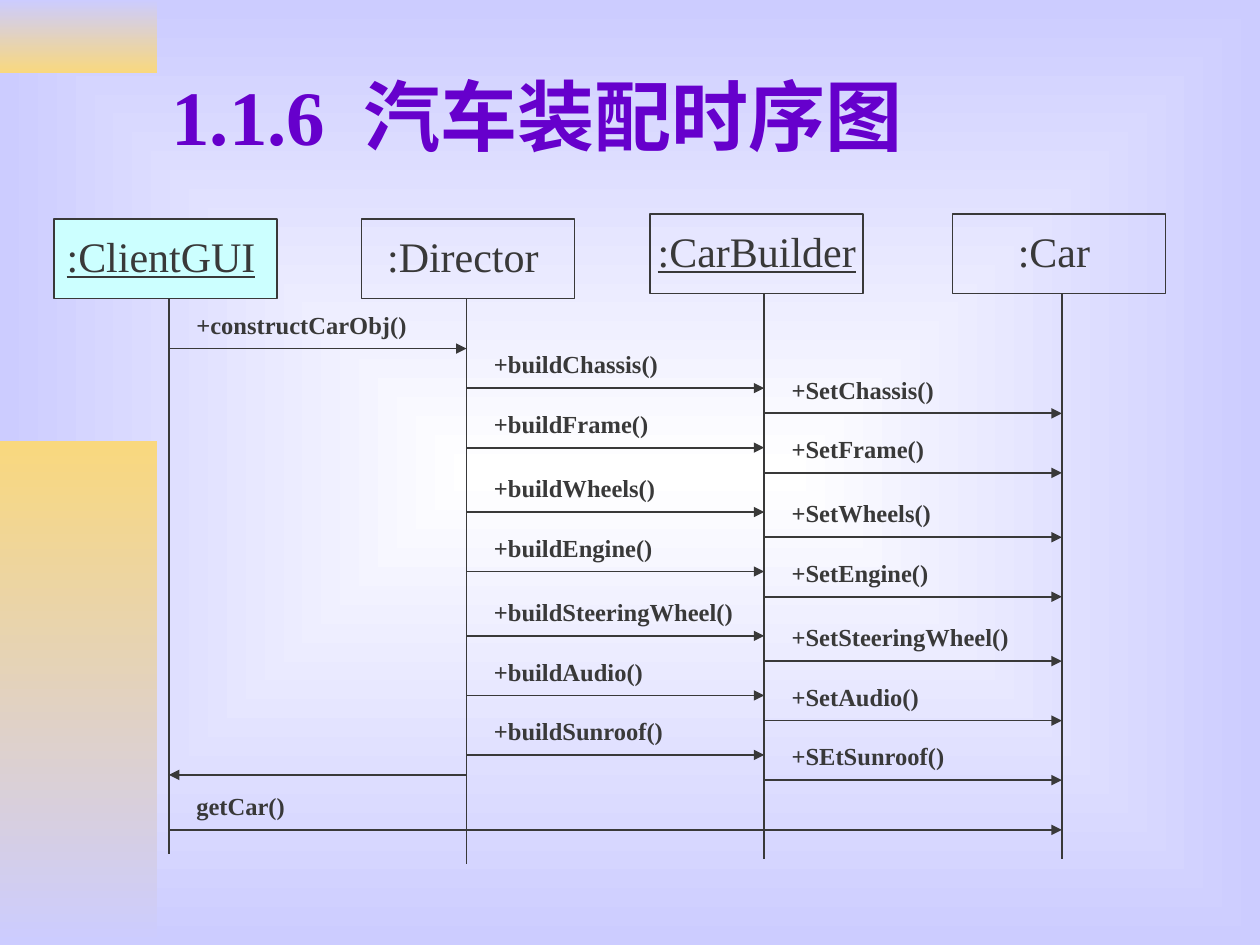
from dataclasses import dataclass
from itertools import accumulate

from lxml.etree import SubElement
from pptx import Presentation
from pptx.dml.color import RGBColor
from pptx.dml.fill import FillFormat
from pptx.enum.shapes import MSO_CONNECTOR, MSO_SHAPE
from pptx.enum.text import MSO_ANCHOR, PP_ALIGN
from pptx.oxml.ns import qn
from pptx.slide import Slide
from pptx.text.text import TextFrame
from pptx.util import Pt

INK = RGBColor(0x39, 0x39, 0x39)
PURPLE = RGBColor(0x66, 0x00, 0xCC)
LILAC = RGBColor(0xCC, 0xCC, 0xFF)
GOLD = RGBColor(0xF9, 0xD8, 0x7E)
CYAN = RGBColor(0xCC, 0xFF, 0xFF)
WHITE = RGBColor(0xFF, 0xFF, 0xFF)
FACE = "Times New Roman"

LIVES = [96.5 + 170.1 * i for i in range(4)]
CLIENT, DIRECTOR, BUILDER, CAR = range(4)
HEAD_H = 45.4
ROWS = list(accumulate((221.8, 34, 36.8, 34, 36.8, 34, 34)))
LAG = 14.4
PARTS = ("Chassis", "Frame", "Wheels", "Engine", "SteeringWheel", "Audio", "Sunroof")


@dataclass
class Head:
    name: str
    left: float
    top: float
    width: float
    end: float
    pad: tuple[float, float]
    align: PP_ALIGN = PP_ALIGN.LEFT
    under: bool = False
    fill: RGBColor | None = None


@dataclass
class Call:
    text: str
    start: int
    stop: int
    y: float


HEADS = [
    Head(":ClientGUI", 31, 125.3, 127.4, 488.2, (7.2, 0), under=True, fill=CYAN),
    Head(":Director", 206.6, 125.3, 121.7, 494, (0, 5.8), PP_ALIGN.CENTER),
    Head(":CarBuilder", 371.5, 122.4, 121.7, 491, (4.3, 0), under=True),
    Head(":Car", 544.3, 122.4, 121.7, 491, (0, 5.8), PP_ALIGN.CENTER),
]


def set_name(part: str) -> str:
    return f"+SEt{part}()" if part == "Sunroof" else f"+Set{part}()"


CALLS = [
    Call("+constructCarObj()", CLIENT, DIRECTOR, 199.2),
    *(Call(f"+build{p}()", DIRECTOR, BUILDER, y) for p, y in zip(PARTS, ROWS)),
    *(Call(set_name(p), BUILDER, CAR, y + LAG) for p, y in zip(PARTS, ROWS)),
    Call("", DIRECTOR, CLIENT, 442.8),
    Call("getCar()", CLIENT, CAR, 474.2),
]


def write(frame: TextFrame, text: str, *, size: float, color: RGBColor = INK,
          bold: bool = False, under: bool = False,
          align: PP_ALIGN = PP_ALIGN.LEFT, gap: float = 0) -> None:
    """Append a run to the first paragraph; gap is extra letter spacing."""
    para = frame.paragraphs[0]
    para.alignment = align
    run = para.add_run()
    run.text = text
    font = run.font
    font.name, font.size, font.bold, font.underline = FACE, Pt(size), bold, under
    font.color.rgb = color
    if gap:
        run._r.get_or_add_rPr().set("spc", str(int(gap * 100)))


def blend(fill: FillFormat, first: RGBColor, last: RGBColor) -> None:
    fill.gradient()
    for stop, color, pos in zip(fill.gradient_stops, (first, last), (0, 1)):
        stop.color.rgb = color
        stop.position = pos


def glow(slide: Slide) -> None:
    """Fill the background from a white centre out to lilac edges."""
    blend(slide.background.fill, WHITE, LILAC)
    grad = slide._element.find(".//" + qn("a:gradFill"))
    grad.remove(grad.find(qn("a:lin")))
    ring = SubElement(grad, qn("a:path"), {"path": "rect"})
    SubElement(ring, qn("a:fillToRect"), dict.fromkeys("ltrb", "50000"))


def band(slide: Slide, top: float, height: float, first: RGBColor, last: RGBColor) -> None:
    shape = slide.shapes.add_shape(MSO_SHAPE.RECTANGLE, 0, Pt(top), Pt(90), Pt(height))
    shape.shadow.inherit = False
    blend(shape.fill, first, last)
    shape.fill.gradient_angle = 270
    shape.line.fill.background()


def rule(slide: Slide, x1: float, y1: float, x2: float, y2: float,
         arrow: bool = False) -> None:
    line = slide.shapes.add_connector(
        MSO_CONNECTOR.STRAIGHT, Pt(x1), Pt(y1), Pt(x2), Pt(y2))
    line.line.color.rgb = INK
    line.line.width = Pt(1)
    if arrow:
        SubElement(line.line._get_or_add_ln(), qn("a:tailEnd"), {"type": "triangle"})
    SubElement(line._element.spPr, qn("a:effectLst"))


def draw_head(slide: Slide, head: Head, x: float) -> None:
    box = slide.shapes.add_shape(
        MSO_SHAPE.RECTANGLE, Pt(head.left), Pt(head.top), Pt(head.width), Pt(HEAD_H))
    box.shadow.inherit = False
    if head.fill is None:
        box.fill.background()
    else:
        box.fill.solid()
        box.fill.fore_color.rgb = head.fill
    box.line.color.rgb = INK
    box.line.width = Pt(1)
    frame = box.text_frame
    frame.word_wrap = True
    frame.vertical_anchor = MSO_ANCHOR.TOP
    frame.margin_left, frame.margin_right = map(Pt, head.pad)
    frame.margin_top, frame.margin_bottom = Pt(6.5), 0
    write(frame, head.name, size=24, under=head.under, align=head.align)
    rule(slide, x, head.top + HEAD_H, x, head.end)


def draw_call(slide: Slide, call: Call) -> None:
    x = LIVES[call.start]
    rule(slide, x, call.y, LIVES[call.stop], call.y, arrow=True)
    if call.text:
        box = slide.shapes.add_textbox(Pt(x + 8.6), Pt(call.y - 25.7), Pt(158.4), Pt(24.5))
        box.text_frame.word_wrap = True
        write(box.text_frame, call.text, size=14, bold=True)


def add_title(slide: Slide) -> None:
    title = slide.shapes.title
    title.left, title.top, title.width, title.height = map(Pt, (90.7, 18, 612, 95))
    frame = title.text_frame
    frame.word_wrap = True
    frame.vertical_anchor = MSO_ANCHOR.MIDDLE
    for text, gap in (("1.1.6", 0), (" ", 11), ("汽车装配时序图", 0)):
        write(frame, text, size=44, color=PURPLE, bold=True, gap=gap)


def main() -> None:
    deck = Presentation()
    deck.slide_width, deck.slide_height = Pt(720), Pt(540)
    slide = deck.slides.add_slide(deck.slide_layouts[5])
    glow(slide)
    band(slide, 0, 41.8, LILAC, GOLD)
    band(slide, 252, 288, GOLD, LILAC)
    add_title(slide)
    for head, x in zip(HEADS, LIVES):
        draw_head(slide, head, x)
    for call in CALLS:
        draw_call(slide, call)
    deck.save("out.pptx")


if __name__ == "__main__":
    main()
